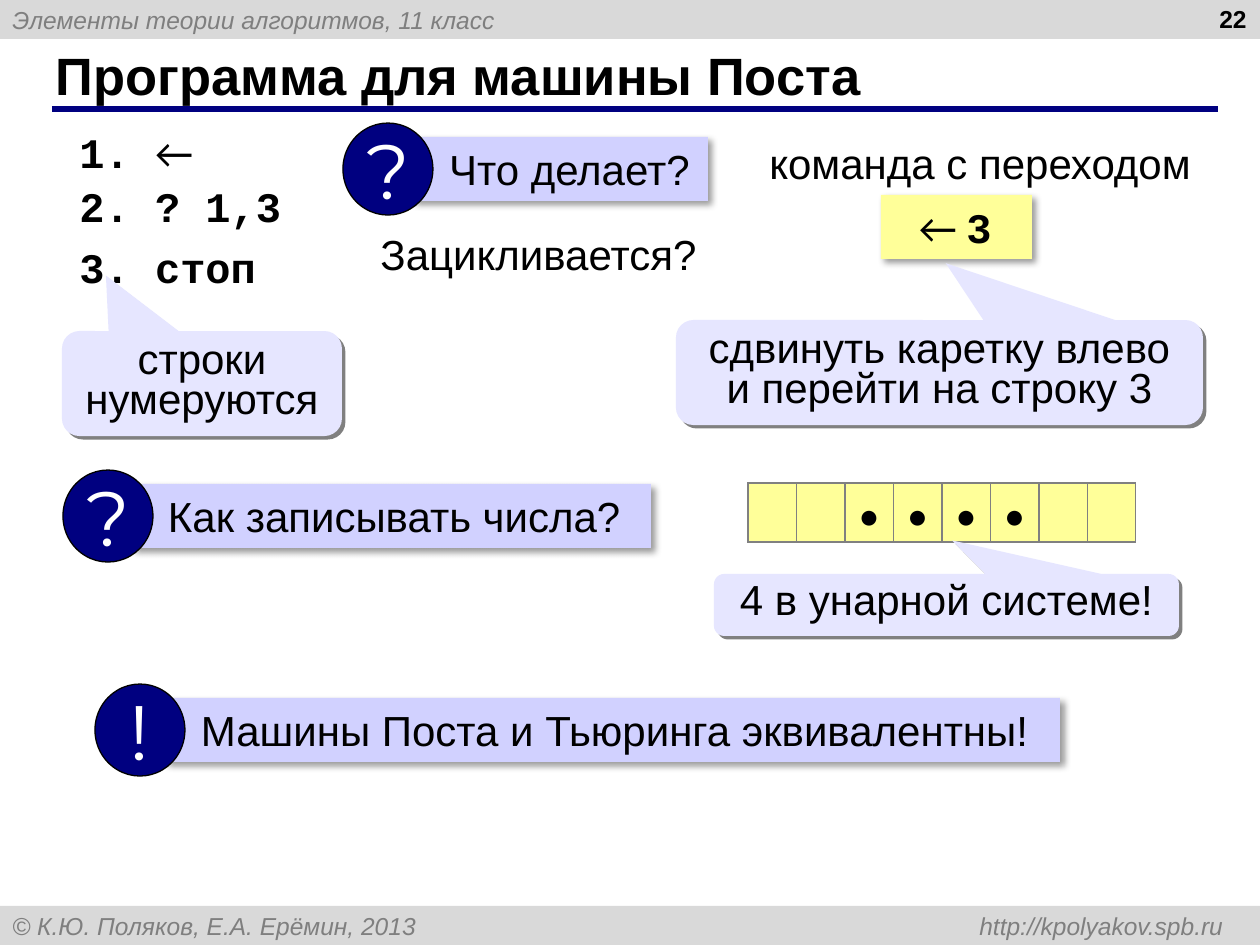
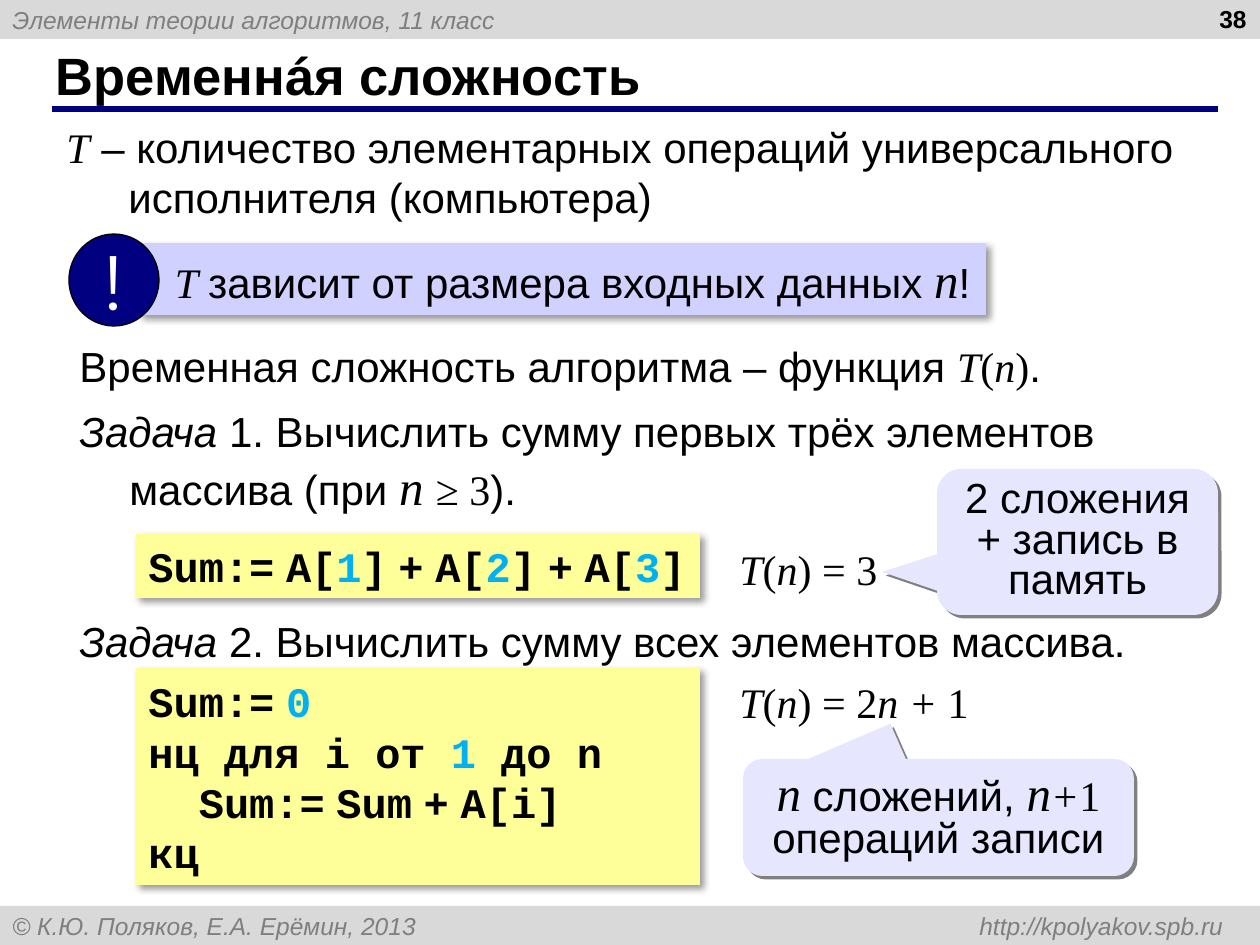
from lxml import etree
from pptx import Presentation
from pptx.dml.color import RGBColor
from pptx.enum import shapes, text
from pptx.oxml import ns
from pptx.util import Pt

BLACK, WHITE = RGBColor(0, 0, 0), RGBColor(255, 255, 255)
BAND, GREY = RGBColor(0xD9, 0xD9, 0xD9), RGBColor(0x7F, 0x7F, 0x7F)
EDGE = RGBColor(0x80, 0x80, 0x80)
NAVY, LILAC = RGBColor(0, 0, 0x80), RGBColor(0xD1, 0xD1, 0xFF)
PALE, YELLOW = RGBColor(0xE6, 0xE6, 0xFF), RGBColor(0xFF, 0xFF, 0x99)
CYAN = RGBColor(0, 0xB0, 0xF0)

# font, size, bold, italic, colour
STYLES = {
    "plain": ("Arial", 24, False, False, BLACK),
    "italic": ("Arial", 24, False, True, BLACK),
    "var": ("Times New Roman", 24, False, True, BLACK),
    "big var": ("Times New Roman", 28, False, True, BLACK),
    "math": ("Times New Roman", 24, False, False, BLACK),
    "code": ("Courier New", 24, True, False, BLACK),
    "number": ("Courier New", 24, True, False, CYAN),
    "thin": ("Arial", 24, True, False, BLACK),
    "arrow": ("Calibri", 24, False, False, BLACK),
    "title": ("Arial", 30, True, False, BLACK),
    "page": ("Arial", 14, True, False, BLACK),
    "band": ("Arial", 14, False, True, GREY),
    "badge": ("Montserrat", 44, False, False, WHITE),
}

HEADER = "Элементы теории алгоритмов, 11 класс"
FOOTER = "© К.Ю. Поляков, Е.А. Ерёмин, 2013\thttp://kpolyakov.spb.ru"

# A paragraph is a list of (style, text); a bare string is plain text.
T_OF_N = [("var", "T"), ("math", "("), ("var", "n"), ("math", ")")]
GAP = ("thin", " ")
ASSIGN = [("code", "Sum:="), GAP]
PLUS = [GAP, ("code", "+"), GAP]


def element(index):
    return [("code", "A["), ("number", index), ("code", "]")]


POST_PROGRAM = [
    [("code", "1. "), ("arrow", "←")],
    [("code", "2. ? 1,3")],
    [("code", "3. стоп")],
]
SUM_OF_THREE = [ASSIGN + element("1") + PLUS + element("2") + PLUS + element("3")]
SUM_OF_ALL = [
    ASSIGN + [("number", "0")],
    [("code", "нц для i от "), ("number", "1"), ("code", " до n")],
    [("code", "  Sum:="), GAP, ("code", "Sum")] + PLUS + [("code", "A[i]")],
    [("code", "кц")],
]

# kind, box (left, top, width, height in px), paragraphs, options
SLIDES = [
    ("22", "Программа для машины Поста", [
        ("label", (67, 127, 294, 165), POST_PROGRAM,
         dict(middle=True, gaps=(0, 2, 6))),
        ("callout", (62, 331, 280, 105), [["строки нумеруются"]],
         dict(tip=(-0.343, -1.029))),
        ("banner", (413, 137, 295, 64), [["Что делает?"]],
         dict(mark="?", badge=(343, 123))),
        ("label", (757, 131, 451, 64), [["команда с переходом"]], dict(wrap=False)),
        ("code", (881, 195, 151, 64), [[("arrow", "← "), ("code", "3")]],
         dict(indent=38)),
        ("callout", (676, 320, 527, 105),
         [["сдвинуть каретку влево и перейти на строку 3"]],
         dict(tip=(0.012, -1.041))),
        ("banner", (132, 484, 519, 64), [["Как записывать числа?"]],
         dict(mark="?", badge=(63, 470))),
        ("tape", (748, 483, 388, 58), "  ••••  ", {}),
        ("callout", (714, 574, 465, 62), [["4 в унарной системе!"]],
         dict(tip=(0.012, -1.041))),
        ("banner", (165, 698, 895, 64), [["Машины Поста и Тьюринга эквивалентны!"]],
         dict(mark="!", badge=(95, 684))),
        ("label", (368, 222, 345, 64), [["Зацикливается?"]], dict(wrap=False)),
    ]),
    ("38", "Временнáя сложность", [
        ("label", (54, 115, 1192, 115),
         [[("var", "T"), " – количество элементарных операций "
           "универсального исполнителя (компьютера)"]], dict(hang=62)),
        ("banner", (139, 243, 847, 72),
         [[("var", "T "), "зависит от размера входных данных ",
           ("big var", "n"), "!"]], dict(mark="!", badge=(69, 234))),
        ("label", (67, 334, 1000, 64),
         [["Временная сложность алгоритма – функция "] + T_OF_N + ["."]],
         dict(middle=True, wrap=False)),
        ("label", (67, 399, 1147, 123),
         [[("italic", "Задача "),
           "1. Вычислить сумму первых трёх элементов массива (при ",
           ("big var", "n "), ("math", "≥ 3"), ")."]],
         dict(middle=True, hang=50)),
        ("code", (136, 534, 564, 64), SUM_OF_THREE, {}),
        ("label", (727, 537, 168, 64), [T_OF_N + [("math", " = 3")]],
         dict(wrap=False)),
        ("callout", (937, 469, 281, 146), [["2 сложения + запись в память"]],
         dict(tip=(-0.695, 0.206), middle=True)),
        ("label", (67, 609, 1147, 64),
         [[("italic", "Задача "), "2. Вычислить сумму всех элементов массива."]],
         dict(middle=True, hang=50)),
        ("code", (136, 668, 564, 217), SUM_OF_ALL, {}),
        ("label", (727, 670, 257, 64),
         [T_OF_N + [("math", " = 2"), ("var", "n + "), ("math", "1")]],
         dict(wrap=False)),
        ("callout", (743, 759, 391, 117),
         [[("big var", "n"), " сложений, ", ("big var", "n"), ("var", "+"),
           ("math", "1 "), "операций записи"]],
         dict(tip=(-0.123, -0.801), middle=True)),
    ]),
]


def px(n):
    return round(n * 914400 / 126)


def emu(box):
    return [px(n) for n in box]


def write(tf, paragraphs, middle=False, wrap=True, align=text.PP_ALIGN.LEFT,
          hang=0, gaps=(), indent=None):
    tf.word_wrap = wrap
    tf.auto_size = text.MSO_AUTO_SIZE.NONE
    tf.vertical_anchor = text.MSO_ANCHOR.MIDDLE if middle else text.MSO_ANCHOR.TOP
    if indent is not None:
        tf.margin_left = px(indent)
    for i, parts in enumerate(paragraphs):
        p = tf.add_paragraph() if i else tf.paragraphs[0]
        p.alignment = align
        if hang:
            pPr = p._p.get_or_add_pPr()
            pPr.set("marL", str(px(hang)))
            pPr.set("indent", str(-px(hang)))
        if i and gaps:
            p.space_before = Pt(gaps[i])
        for part in parts:
            style, words = ("plain", part) if isinstance(part, str) else part
            r = p.add_run()
            r.text = words
            f = r.font
            f.name, size, f.bold, f.italic, f.color.rgb = STYLES[style]
            f.size = Pt(size)


def add_shape(s, preset, box, fill, outline=None):
    sp = s.shapes.add_shape(preset, *emu(box))
    sp.shadow.inherit = False
    sp.fill.solid()
    sp.fill.fore_color.rgb = fill
    if outline is None:
        sp.line.fill.background()
    else:
        sp.line.color.rgb = outline
        sp.line.width = Pt(0.75)
    return sp


def add_shadow(sp, colour, alpha, blur, dist):
    effects = sp.element.spPr.find(ns.qn("a:effectLst"))
    shadow = etree.SubElement(effects, ns.qn("a:outerShdw"), blurRad=str(Pt(blur)),
                              dist=str(Pt(dist)), dir="2700000", algn="tl",
                              rotWithShape="0")
    clr = etree.SubElement(shadow, ns.qn("a:srgbClr"), val=str(colour))
    etree.SubElement(clr, ns.qn("a:alpha"), val=str(alpha * 1000))


def label(s, box, paragraphs, **options):
    write(s.shapes.add_textbox(*emu(box)).text_frame, paragraphs, **options)


def card(s, box, paragraphs, fill, **options):
    """Flat rectangle with a soft shadow."""
    sp = add_shape(s, shapes.MSO_SHAPE.RECTANGLE, box, fill)
    add_shadow(sp, BLACK, 40, 4, 3)
    write(sp.text_frame, paragraphs, **options)


def code(s, box, paragraphs, **options):
    card(s, box, paragraphs, YELLOW, middle=True, **options)


def banner(s, box, paragraphs, mark, badge):
    """Lilac card with a round question or exclamation badge at its left."""
    card(s, box, paragraphs, LILAC, indent=36)
    sp = add_shape(s, shapes.MSO_SHAPE.OVAL, (*badge, 90, 92), NAVY, BLACK)
    write(sp.text_frame, [[("badge", mark)]], middle=True, wrap=False,
          align=text.PP_ALIGN.CENTER)


def callout(s, box, paragraphs, tip, middle=False):
    sp = add_shape(s, shapes.MSO_SHAPE.ROUNDED_RECTANGULAR_CALLOUT, box, PALE)
    for i, value in enumerate((*tip, 0.167)):
        sp.adjustments[i] = value
    add_shadow(sp, EDGE, 100, 0, 2.8)
    write(sp.text_frame, paragraphs, middle=middle, align=text.PP_ALIGN.CENTER)
    p = sp.text_frame.paragraphs[0]
    p.line_spacing, p.space_after = 0.8, Pt(10)


def add_borders(cell):
    tcPr = cell._tc.get_or_add_tcPr()
    for i, side in enumerate(("lnL", "lnR", "lnT", "lnB")):
        ln = etree.Element(ns.qn("a:" + side), w=str(Pt(1)))
        fill = etree.SubElement(ln, ns.qn("a:solidFill"))
        etree.SubElement(fill, ns.qn("a:srgbClr"), val=str(EDGE))
        tcPr.insert(i, ln)


def tape(s, box, marks):
    """One-row table, a cell for each mark; a space leaves its cell empty."""
    table = s.shapes.add_table(1, len(marks), *emu(box)).table
    table.first_row = table.horz_banding = False
    for column, cell, mark in zip(table.columns, table.rows[0].cells, marks):
        column.width = px(box[2] / len(marks))
        cell.fill.solid()
        cell.fill.fore_color.rgb = YELLOW
        add_borders(cell)
        cell.margin_left = cell.margin_right = px(9)
        cell.margin_top = cell.margin_bottom = 0
        cell.vertical_anchor = text.MSO_ANCHOR.MIDDLE
        if mark != " ":
            p = cell.text_frame.paragraphs[0]
            p.alignment, p.line_spacing = text.PP_ALIGN.CENTER, 1.15
            r = p.add_run()
            r.text = mark
            r.font.name, r.font.size = "Calibri", Pt(24)
            r.font.color.rgb = BLACK


def dress_layout(layout, s):
    """Build the bands and title rule on s, then move them to its layout."""
    for ph in list(layout.placeholders):
        if ph.placeholder_format.idx:
            ph.element.getparent().remove(ph.element)
    parts = []
    for top, words in ((0, HEADER), (906, FOOTER)):
        sp = add_shape(s, shapes.MSO_SHAPE.RECTANGLE, (0, top, 1260, 39), BAND)
        write(sp.text_frame, [[("band", words)]], middle=True)
        parts.append(sp)
    pPr = parts[-1].text_frame.paragraphs[0]._p.get_or_add_pPr()
    tabs = etree.SubElement(pPr, ns.qn("a:tabLst"))
    etree.SubElement(tabs, ns.qn("a:tab"), pos=str(px(1211)), algn="r")
    rule = s.shapes.add_connector(shapes.MSO_CONNECTOR.STRAIGHT,
                                  *emu((52, 109, 1218, 109)))
    rule.line.color.rgb, rule.line.width = NAVY, Pt(3)
    etree.SubElement(rule.element.spPr, ns.qn("a:effectLst"))
    for sp in parts + [rule]:
        layout.shapes.element.append(sp.element)


KINDS = {"label": label, "code": code, "banner": banner, "callout": callout,
         "tape": tape}


def main():
    prs = Presentation()
    prs.slide_width, prs.slide_height = emu((1260, 945))
    layout = prs.slide_layouts[5]
    for i, (number, heading, items) in enumerate(SLIDES):
        s = prs.slides.add_slide(layout)
        if i == 0:
            dress_layout(layout, s)
        title = s.shapes.title
        title.left, title.top, title.width, title.height = emu((43, 42, 1154, 66))
        write(title.text_frame, [[("title", heading)]], middle=True)
        page = s.shapes.add_textbox(*emu((965, 0, 294, 60))).text_frame
        page.margin_top = px(4)
        write(page, [[("page", number)]], align=text.PP_ALIGN.RIGHT)
        for kind, box, content, options in items:
            KINDS[kind](s, box, content, **options)
    prs.save("out.pptx")


if __name__ == "__main__":
    main()
